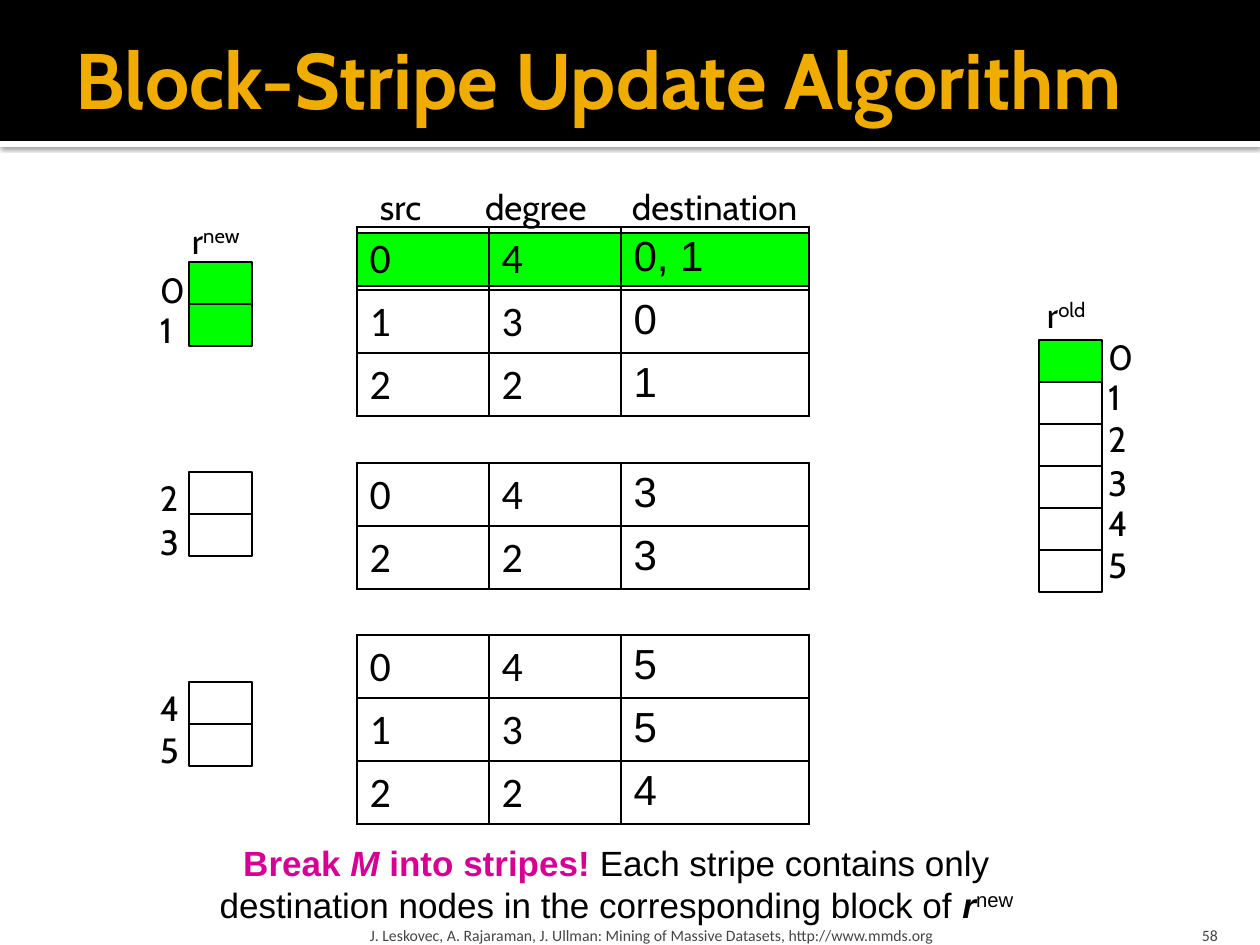
from dataclasses import dataclass

from lxml import etree
from pptx import Presentation
from pptx.dml.color import RGBColor
from pptx.enum.shapes import MSO_SHAPE
from pptx.enum.text import MSO_ANCHOR, MSO_AUTO_SIZE, PP_ALIGN
from pptx.oxml.ns import qn
from pptx.util import Pt

RECT = MSO_SHAPE.RECTANGLE
TOP, MIDDLE, BOTTOM = MSO_ANCHOR.TOP, MSO_ANCHOR.MIDDLE, MSO_ANCHOR.BOTTOM
LEFT, CENTER, RIGHT = PP_ALIGN.LEFT, PP_ALIGN.CENTER, PP_ALIGN.RIGHT
GROW, FIXED = MSO_AUTO_SIZE.SHAPE_TO_FIT_TEXT, MSO_AUTO_SIZE.NONE
SCALE = 914400 / 126


@dataclass(frozen=True)
class Theme:
    black: str = "000000"
    white: str = "FFFFFF"
    gold: str = "F0AD00"
    green: str = "00FF00"
    pink: str = "D60093"
    gray: str = "454545"
    head: str = "Cabin"
    body: str = "Arial"
    cell: str = "Calibri"
    title: int = 45
    entry: int = 24
    label: int = 20
    foot: int = 9


def px(count):
    return round(count * SCALE)


def write(frame, parts, size, font, color, bold=False, align=LEFT):
    para = frame.paragraphs[0]
    para.alignment = align
    if isinstance(parts, str):
        parts = [(parts, {})]
    for words, look in parts:
        run = para.add_run()
        run.text = words
        run.font.size = Pt(size)
        run.font.name = font
        run.font.bold = look.get("bold", bold)
        run.font.italic = look.get("italic", False)
        run.font.color.rgb = RGBColor.from_string(look.get("color", color))
        if look.get("sup"):
            run.font._element.set("baseline", "30000")


class Canvas:
    def __init__(self, slide, theme):
        self.slide = slide
        self.theme = theme

    def rect(self, left, top, width, height, fill=None, line=None):
        shape = self.slide.shapes.add_shape(
            RECT, px(left), px(top), px(width), px(height))
        shape.shadow.inherit = False
        if fill:
            shape.fill.solid()
            shape.fill.fore_color.rgb = RGBColor.from_string(fill)
        else:
            shape.fill.background()
        if line:
            shape.line.color.rgb = RGBColor.from_string(line)
            shape.line.width = Pt(0.75)
        else:
            shape.line.fill.background()
        return shape

    def shade(self, shape):
        effect = shape._element.spPr.find(qn("a:effectLst"))
        shadow = etree.SubElement(
            effect, qn("a:outerShdw"), blurRad=str(Pt(2.5)),
            dist=str(Pt(0.8)), dir="5400000", algn="tl", rotWithShape="0")
        color = etree.SubElement(shadow, qn("a:srgbClr"), val=self.theme.black)
        etree.SubElement(color, qn("a:alpha"), val="60000")

    def text(self, left, top, width, height, parts, inset=(13, 6, 13, 6),
             anchor=TOP, wrap=True, size_mode=FIXED, **style):
        box = self.slide.shapes.add_textbox(
            px(left), px(top), px(width), px(height))
        frame = box.text_frame
        frame.word_wrap = wrap
        frame.auto_size = size_mode
        frame.vertical_anchor = anchor
        (frame.margin_left, frame.margin_top,
         frame.margin_right, frame.margin_bottom) = map(px, inset)
        write(frame, parts, **style)

    def label(self, left, top, width, parts):
        self.text(left, top, width, 54, parts, wrap=False, size_mode=GROW,
                  size=self.theme.label, font=self.theme.head,
                  color=self.theme.black)

    def border(self, cell):
        props = cell._tc.get_or_add_tcPr()
        for side in ("lnL", "lnR", "lnT", "lnB"):
            line = etree.SubElement(props, qn("a:" + side), w=str(Pt(1)))
            fill = etree.SubElement(line, qn("a:solidFill"))
            etree.SubElement(fill, qn("a:srgbClr"), val=self.theme.black)

    def table(self, left, top, widths, high, rows):
        table = self.slide.shapes.add_table(
            len(rows), len(widths), px(left), px(top),
            px(sum(widths)), px(high * len(rows))).table
        table.first_row = table.horz_banding = False
        for col, width in zip(table.columns, widths):
            col.width = px(width)
        for y, row in enumerate(rows):
            table.rows[y].height = px(high)
            for x, value in enumerate(row):
                cell = table.cell(y, x)
                self.border(cell)
                cell.fill.background()
                font = self.theme.body if x == 2 else self.theme.cell
                write(cell.text_frame, value, size=self.theme.entry,
                      font=font, color=self.theme.black)


def main():
    deck = Presentation()
    deck.slide_width, deck.slide_height = px(1260), px(945)
    theme = Theme()
    page = Canvas(deck.slides.add_slide(deck.slide_layouts[6]), theme)

    page.shade(page.rect(0, 141, 1260, 6, theme.white))
    page.rect(0, 0, 1260, 141, theme.black)
    page.text(63, 10, 1134, 136, "Block-Stripe Update Algorithm",
              inset=(13, 6, 6, 6), anchor=MIDDLE, size=theme.title,
              font=theme.head, color=theme.gold, bold=True)
    foot = dict(anchor=BOTTOM, size=theme.foot, font=theme.cell,
                color=theme.gray)
    page.text(364, 907, 759, 38,
              "J. Leskovec, A. Rajaraman, J. Ullman: "
              "Mining of Massive Datasets, http://www.mmds.org",
              inset=(6, 6, 6, 0), **foot)
    page.text(1130, 907, 101, 38, "58", inset=(13, 6, 13, 0),
              align=RIGHT, **foot)

    page.rect(357, 233, 452, 53, theme.green, theme.black)
    for i, nudge in enumerate((0, -2, -2, 0, -2, -2)):
        block, step = divmod(i, 2)
        top = 262 + 210 * block + 42 * step
        page.rect(189, top, 63, 42,
                  theme.green if block == 0 else None, theme.black)
        page.label(147, top + nudge, 45, str(i))
        page.rect(1039, 340 + 42 * i, 63, 42,
                  theme.green if i == 0 else None, theme.black)
        page.label(1095, 329 + 42 * i + nudge, 45, str(i))

    for left, width, name in ((367, 72, "src"), (472, 135, "degree"),
                              (619, 195, "destination")):
        page.label(left, 179, width, name)
    for left, top, width, name in ((179, 213, 78, "new"),
                                   (1034, 287, 67, "old")):
        page.label(left, top, width, [("r", {}), (name, {"sup": True})])

    stripes = (
        (227, (("0", "4", "0, 1"), ("1", "3", "0"), ("2", "2", "1"))),
        (463, (("0", "4", "3"), ("2", "2", "3"))),
        (635, (("0", "4", "5"), ("1", "3", "5"), ("2", "2", "4"))),
    )
    for top, rows in stripes:
        page.table(357, top, (132, 132, 188), 63, rows)

    loud = {"bold": True, "color": theme.pink}
    page.text(158, 835, 917, 97, [
        ("Break ", loud),
        ("M", {**loud, "italic": True}),
        (" into stripes! ", loud),
        ("Each stripe contains only destination nodes "
         "in the corresponding block of ", {}),
        ("r", {"bold": True, "italic": True}),
        ("new", {"sup": True}),
    ], size_mode=GROW, size=theme.label, font=theme.body,
        color=theme.black, align=CENTER)

    deck.save("out.pptx")


if __name__ == "__main__":
    main()
